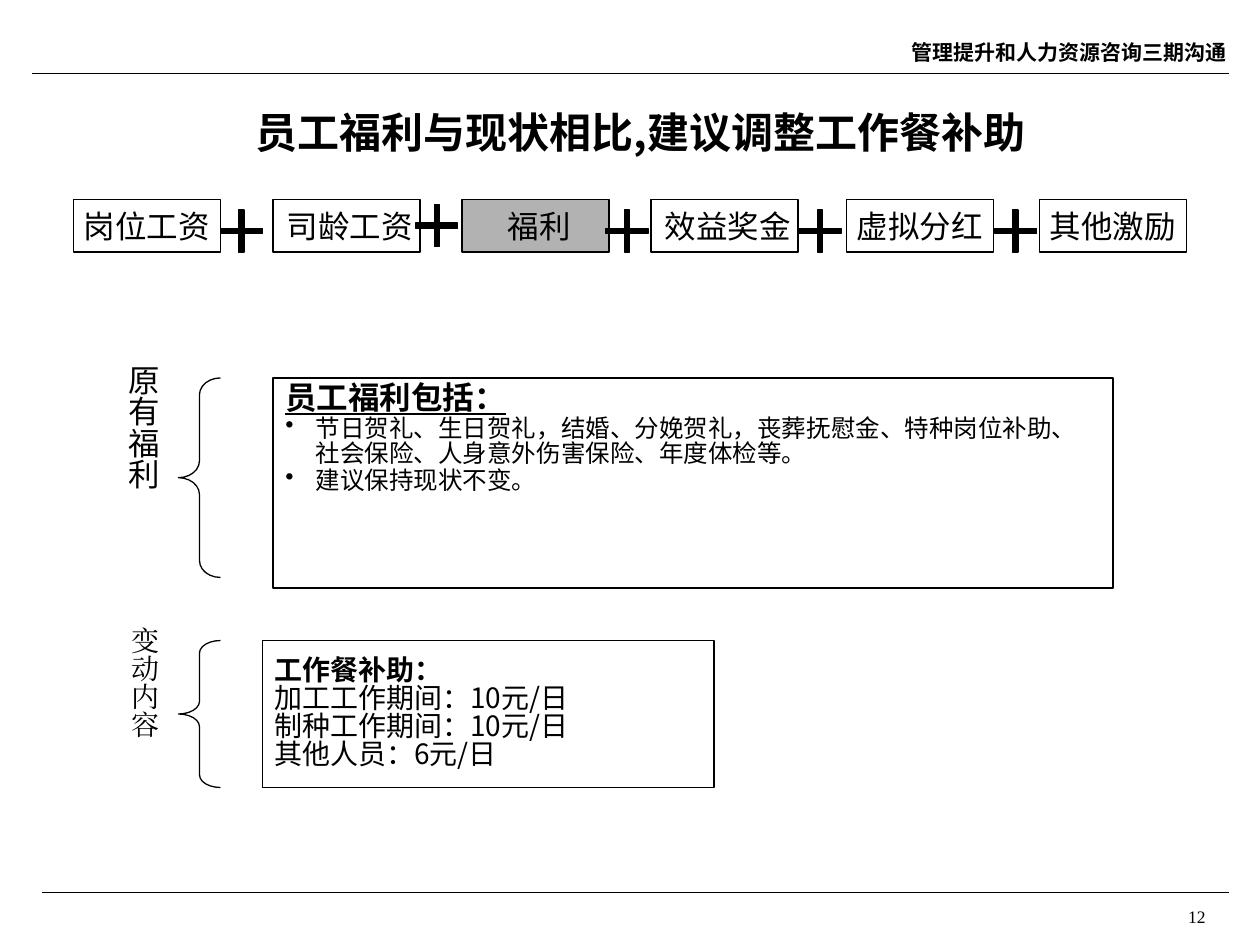
from collections import namedtuple

from lxml.etree import SubElement
from pptx import Presentation
from pptx.dml.color import RGBColor
from pptx.enum.shapes import MSO_CONNECTOR, MSO_SHAPE as SHAPE
from pptx.enum.text import MSO_ANCHOR as ANCHOR, PP_ALIGN as ALIGN
from pptx.oxml.ns import qn
from pptx.util import Inches, Pt

COLORS = {"ink": "000000", "paper": "FFFFFF", "highlight": "B2B2B2"}
SANS, SERIF = "Noto Sans CJK SC", "Times New Roman"
COLUMNS, ROWS = 120, 90
UNIT = Inches(10) / COLUMNS
LINE_SPACING = 0.83
BULLET_INDENT = 0.24

# Lengths are grid columns and rows
Box = namedtuple("Box", "left top width height")


def grid(*lengths):
    return [round(length * UNIT) for length in lengths]


def rgb(name):
    return RGBColor.from_string(COLORS[name])


def apply(target, values):
    for attribute, value in values.items():
        setattr(target, attribute, value)


def set_frame(frame, anchor=ANCHOR.TOP, wrap=True, insets=(0.1, 0.05)):
    side, end = (Inches(inset) for inset in insets)
    apply(frame, {
        "vertical_anchor": anchor, "word_wrap": wrap,
        "margin_left": side, "margin_right": side,
        "margin_top": end, "margin_bottom": end,
    })


def write(paragraph, text, size, align=ALIGN.LEFT, font=SANS, **style):
    paragraph.alignment = align
    run = paragraph.add_run()
    run.text = text
    apply(run.font, {"name": font, "size": Pt(size), **style})
    run.font.color.rgb = rgb("ink")
    SubElement(run.font._element, qn("a:ea"), typeface=font)


def add_bullet(paragraph):
    properties = paragraph._p.get_or_add_pPr()
    indent = Inches(BULLET_INDENT)
    properties.set("marL", str(indent))
    properties.set("indent", str(-indent))
    SubElement(properties, qn("a:buChar"), char="•")


def add_rule(slide, left, right, row):
    rule = slide.shapes.add_connector(
        MSO_CONNECTOR.STRAIGHT, *grid(left, row, right, row))
    rule.line.color.rgb = rgb("ink")
    rule.line.width = Pt(0.75)
    SubElement(rule._element.spPr, qn("a:effectLst"))


def add_outline(slide, kind, box, fill=None):
    outline = slide.shapes.add_shape(kind, *grid(*box))
    outline.shadow.inherit = False
    if fill:
        outline.fill.solid()
        outline.fill.fore_color.rgb = rgb(fill)
    else:
        outline.fill.background()
    outline.line.color.rgb = rgb("ink")
    outline.line.width = Pt(0.75)
    return outline


def add_label(slide, box, text, size, anchor=ANCHOR.TOP, **style):
    frame = slide.shapes.add_textbox(*grid(*box)).text_frame
    set_frame(frame, anchor)
    write(frame.paragraphs[0], text, size, **style)
    return frame


def add_header(slide, box):
    add_rule(slide, box.left, box.left + box.width, box.top + box.height)
    add_label(slide, Box(box.left + 78, box.top, 37, 6), "管理提升和人力资源咨询三期沟通",
              12, ANCHOR.MIDDLE, align=ALIGN.RIGHT, bold=True)


def add_footer(slide, box, page):
    add_rule(slide, box.left, box.left + box.width, box.top)
    add_label(slide, Box(box.left + box.width - 32, box.top + 0.7, 31, box.height),
              page, 10, align=ALIGN.RIGHT, font=SERIF)


def add_pay_formula(slide, box, parts, pluses):
    """Place the pay parts along the box, with plus signs between them."""
    for text, column, fill in parts:
        chip = add_outline(slide, SHAPE.RECTANGLE,
                           Box(box.left + column, box.top, 14, box.height), fill)
        set_frame(chip.text_frame, ANCHOR.MIDDLE, wrap=False)
        write(chip.text_frame.paragraphs[0], text, 18, ALIGN.CENTER)
    for column, row in pluses:
        plus = add_outline(slide, SHAPE.CROSS,
                           Box(box.left + column, box.top + row, 4, 4), "ink")
        plus.adjustments[0] = 0.438


def add_braced_label(slide, box, text, size, font, curve):
    """Place a vertical label with a left brace at the right of the box."""
    brace = add_outline(slide, SHAPE.LEFT_BRACE,
                        Box(box.left + box.width - 4, box.top, 4, box.height))
    brace.adjustments[0], brace.adjustments[1] = curve, 0.5
    frame = add_label(slide, Box(box.left, box.top - 2.5, 5.8, box.height + 5.5),
                      text, size, align=ALIGN.CENTER, font=font)
    set_frame(frame, insets=(0.05, 0.1))
    frame._txBody.bodyPr.set("vert", "eaVert")


def add_panel(slide, box, heading, lines, heading_size, line_size,
              anchor=ANCHOR.TOP, fill=None, underline=False, bulleted=False):
    frame = add_outline(slide, SHAPE.RECTANGLE, box, fill).text_frame
    set_frame(frame, anchor)
    title = frame.paragraphs[0]
    title.line_spacing = LINE_SPACING
    write(title, heading, heading_size, bold=True, underline=underline)
    for text in lines:
        line = frame.add_paragraph()
        line.line_spacing = LINE_SPACING
        if bulleted:
            line.space_before = Pt(1.5)
            add_bullet(line)
        write(line, text, line_size)


def main():
    deck = Presentation()
    deck.slide_width, deck.slide_height = grid(COLUMNS, ROWS)
    slide = deck.slides.add_slide(deck.slide_layouts[6])

    add_header(slide, Box(3, 2, 114, 5))
    add_footer(slide, Box(4, 85, 113, 2.3), "12")
    add_label(slide, Box(6, 5, 110, 15), "员工福利与现状相比,建议调整工作餐补助",
              24, ANCHOR.MIDDLE, align=ALIGN.CENTER, bold=True)

    add_pay_formula(
        slide, Box(7, 19, 106, 5),
        parts=[("岗位工资", 0, None), (" 司龄工资", 19, None), (" 福利", 37, "highlight"),
               (" 效益奖金", 55, None), ("虚拟分红", 73.6, None), ("其他激励", 92, None)],
        pluses=[(14, 1), (32.6, 0.5), (50.7, 1), (69.1, 1), (87.7, 1)])

    add_braced_label(slide, Box(10.2, 36, 10.8, 19), "原有福利", 18, SANS, curve=0.4)
    add_panel(slide, Box(26, 36, 80, 20), "员工福利包括：", [
        "节日贺礼、生日贺礼，结婚、分娩贺礼，丧葬抚慰金、特种岗位补助、社会保险、人身意外伤害保险、年度体检等。",
        "建议保持现状不变。",
    ], 18, 14, underline=True, bulleted=True)

    add_braced_label(slide, Box(10.2, 61, 10.8, 14), "变动内容", 16, SERIF, curve=0.3)
    add_panel(slide, Box(25, 61, 43, 14), "工作餐补助：", [
        "加工工作期间：10元/日", "制种工作期间：10元/日", "其他人员：6元/日",
    ], 16, 16, anchor=ANCHOR.MIDDLE, fill="paper")

    deck.save("out.pptx")


if __name__ == "__main__":
    main()
